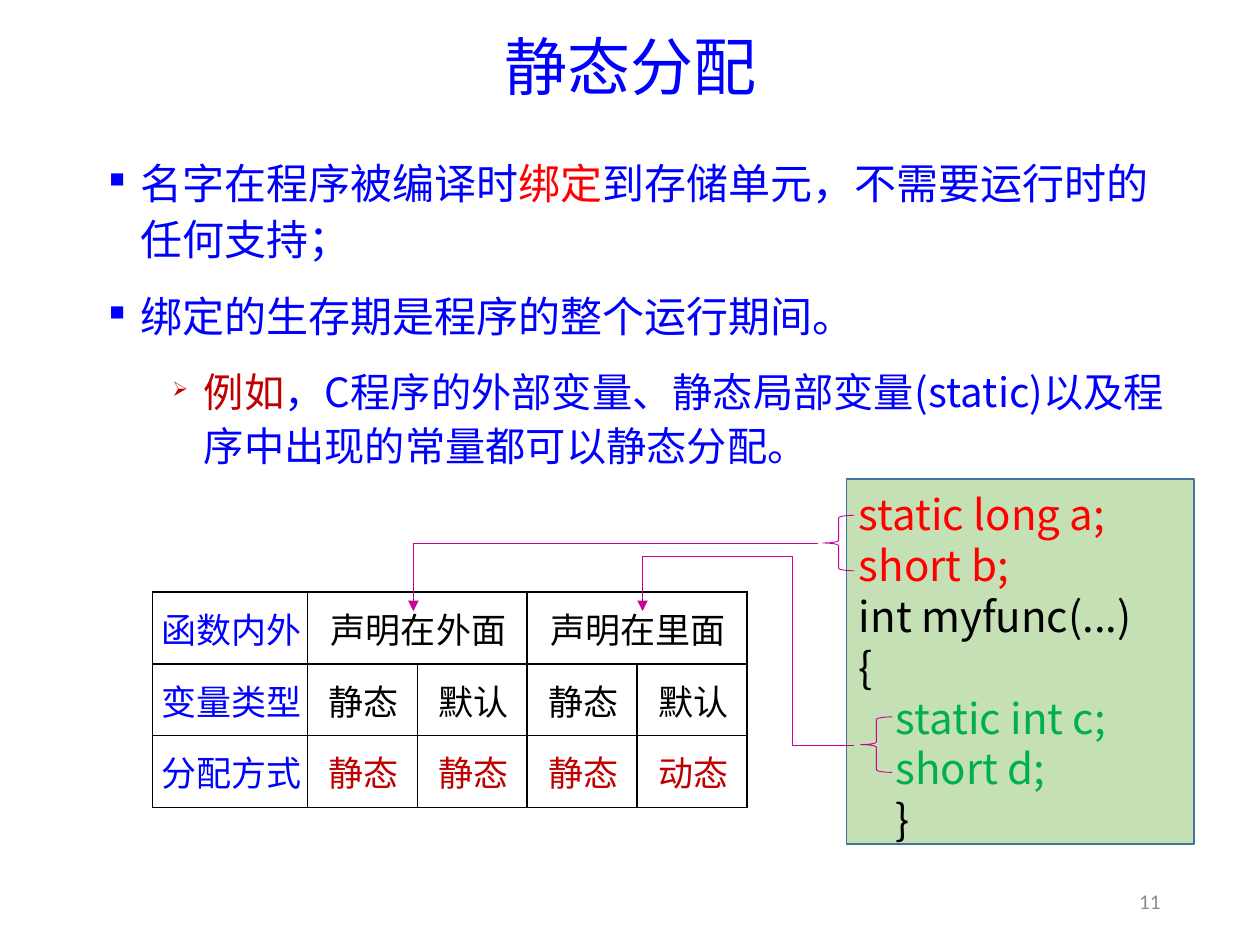
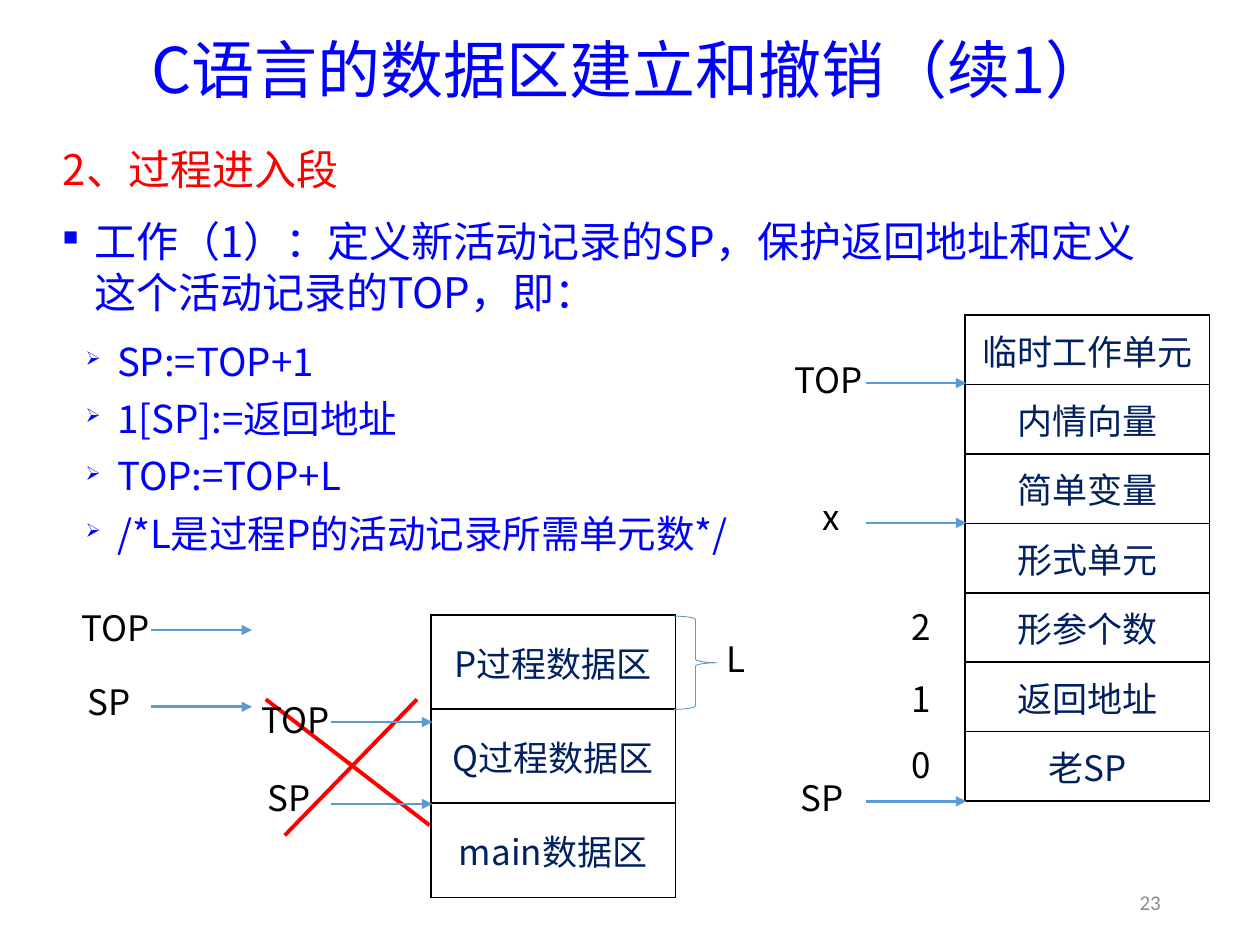
import pptx
import pptx.chart.data
import pptx.dml.color
import pptx.enum.shapes
import pptx.enum.text
import pptx.oxml.ns
import pptx.util
from lxml import etree

Pt = pptx.util.Pt
RGB = pptx.dml.color.RGBColor
ALIGN = pptx.enum.text.PP_ALIGN
MIDDLE = pptx.enum.text.MSO_ANCHOR.MIDDLE
SHAPE = pptx.enum.shapes.MSO_SHAPE
qn = pptx.oxml.ns.qn

BLUE = RGB(0x00, 0x00, 0xFF)
RED = RGB(0xFF, 0x00, 0x00)
DARK_RED = RGB(0xC0, 0x00, 0x00)
GREEN = RGB(0x00, 0xB0, 0x50)
NAVY = RGB(0x00, 0x20, 0x60)
BLACK = RGB(0x00, 0x00, 0x00)
GRAY = RGB(0x8C, 0x8C, 0x8C)
MAGENTA = RGB(0xCC, 0x00, 0x99)
SKY = RGB(0x5B, 0x9B, 0xD5)
CODE_FILL = RGB(0xC5, 0xE0, 0xB4)
CODE_EDGE = RGB(0x43, 0x73, 0x9E)

TITLE_FONT = "Noto Sans CJK JP"
TEXT_FONT = "Noto Sans CJK SC"
NUMBER_FONT = "Calibri"
LINE_HEIGHT = 1.21  # line pitch as a multiple of the text size
HANGING = 18
CELL_INSETS = (7.2, 3.6, 7.2, 3.6)
ARROW_LENGTH = 57.6
LABEL_SIZE = (70, 43)

# Body paragraphs: bullet, left indent, size, space after, runs
STATIC_BODY = [
    ("■", 18, 24, 6, [("名字在程序被编译时", BLUE), ("绑定", RED),
                      ("到存储单元，不需要运行时的任何支持；", BLUE)]),
    ("■", 18, 24, 6, [("绑定的生存期是程序的整个运行期间。", BLUE)]),
    ("➢", 54, 23, 6, [("例如", DARK_RED),
                      ("，C程序的外部变量、静态局部变量(static)以及程序中出现的常量都可以静态分配。", BLUE)]),
]
ENTRY_BODY = [
    (None, 18, 24, 6, [("2、过程进入段", RED)]),
    ("■", 18, 24, 6, [("工作（1）：定义新活动记录的SP，保护返回地址和定义这个活动记录的TOP，即：", BLUE)]),
] + [("➢", 31, 22, 0, [(step, BLUE)]) for step in (
    "SP:=TOP+1", "1[SP]:=返回地址", "TOP:=TOP+L", "/*L是过程P的活动记录所需单元数*/")]

ALLOCATION = [
    ["函数内外", "声明在外面", None, "声明在里面", None],
    ["变量类型", "静态", "默认", "静态", "默认"],
    ["分配方式", "静态", "静态", "静态", "动态"],
]
ALLOCATION_COLORS = [BLACK, BLACK, DARK_RED]

# Code lines: text, indent, colour
CODE = [
    ("static long a;", 0, RED),
    ("short b;", 0, RED),
    ("int myfunc(...)", 0, BLACK),
    ("{", 0, BLACK),
    ("static int c;", 21, GREEN),
    ("short d;", 21, GREEN),
    ("}", 21, BLACK),
]
BRACES = [(470.2, 294.5), (491.8, 409.7)]
ROUTES = [
    [(467.3, 310.3), (236.2, 310.3), (236.2, 349.2)],
    [(488.2, 426.2), (452.9, 426.2), (452.9, 318.2), (367.2, 318.2), (367.2, 349.2)],
]

RECORD = ["临时工作单元", "内情向量", "简单变量", "形式单元", "形参个数", "返回地址", "老SP"]
STACK = ["P过程数据区", "Q过程数据区", "main数据区"]
# Pointers: name, centre of the name, start of the arrow
POINTERS = [
    ("TOP", (65.9, 358.6), (86.4, 360)),
    ("SP", (62.3, 401), (86.4, 403.9)),
    ("TOP", (473.4, 217.1), (494.6, 218.9)),
    ("x", (474.8, 295.2), (494.6, 298.8)),
    ("SP", (469.8, 455.8), (494.6, 457.9)),
    ("TOP", (168.8, 411.1), (189.4, 412.6)),
    ("SP", (165.2, 455.8), (189.4, 459.4)),
]
LABELS = [("0", (526.3, 436.7)), ("1", (526.3, 399.2)), ("2", (526.3, 358.2)),
          ("L", (420.5, 376.2))]
CROSS = [((238.3, 399.6), (162.7, 477.4)), ((245.5, 471.6), (151.9, 399.6))]


def points(values):
    return [Pt(value) for value in values]


def add_run(paragraph, text, size, color, font=TEXT_FONT):
    run = paragraph.add_run()
    run.text = text
    run.font.size = Pt(size)
    run.font.color.rgb = color
    run.font.name = font
    east_asian = etree.SubElement(run.font._element, qn("a:ea"))
    east_asian.set("typeface", font)


def indent(paragraph, left, first=0, bullet=None):
    properties = paragraph._p.get_or_add_pPr()
    properties.set("marL", str(Pt(left)))
    properties.set("indent", str(Pt(first)))
    if bullet:
        etree.SubElement(properties, qn("a:buSzPct")).set("val", "50000")
        etree.SubElement(properties, qn("a:buChar")).set("char", bullet)


def add_text(slide, box, text, size, color, font=TEXT_FONT, align=ALIGN.CENTER):
    """Add one line of text, centred vertically in its box."""
    frame = slide.shapes.add_textbox(*points(box)).text_frame
    frame.word_wrap = True
    frame.vertical_anchor = MIDDLE
    paragraph = frame.paragraphs[0]
    paragraph.alignment = align
    add_run(paragraph, text, size, color, font)
    return paragraph


def add_label(slide, text, center):
    width, height = LABEL_SIZE
    box = (center[0] - width / 2, center[1] - height / 2, width, height)
    add_text(slide, box, text, 20, BLACK)


def new_slide(deck, title, title_box, number, number_box):
    slide = deck.slides.add_slide(deck.slide_layouts[6])
    heading = add_text(slide, title_box, title, 36, BLUE, TITLE_FONT)
    heading.line_spacing = 0.9
    add_text(slide, number_box, number, 12, GRAY, NUMBER_FONT, ALIGN.RIGHT)
    return slide


def next_paragraph(frame, index):
    return frame.add_paragraph() if index else frame.paragraphs[0]


def add_body(slide, box, content, leading):
    frame = slide.shapes.add_textbox(*points(box)).text_frame
    frame.word_wrap = True
    frame.margin_top = Pt(5.6)
    for index, (bullet, left, size, after, runs) in enumerate(content):
        paragraph = next_paragraph(frame, index)
        indent(paragraph, left, -HANGING, bullet)
        paragraph.line_spacing = Pt(size * LINE_HEIGHT * leading)
        paragraph.space_before = Pt(6 if index else 0)
        paragraph.space_after = Pt(after)
        for text, color in runs:
            add_run(paragraph, text, size, color)


def style_line(shape, color, width, arrow=False):
    shape.line.color.rgb = color
    shape.line.width = Pt(width)
    if arrow:
        line = shape.line._get_or_add_ln()
        etree.SubElement(line, qn("a:tailEnd")).set("type", "triangle")


def add_line(slide, start, end, color, width, arrow=False):
    line = slide.shapes.add_connector(
        pptx.enum.shapes.MSO_CONNECTOR.STRAIGHT, *points(start + end))
    style_line(line, color, width, arrow)
    etree.SubElement(line._element.spPr, qn("a:effectLst"))


def add_brace(slide, kind, box, color):
    brace = slide.shapes.add_shape(kind, *points(box))
    brace.shadow.inherit = False
    brace.fill.background()
    style_line(brace, color, 0.5)


def add_route(slide, corners):
    builder = slide.shapes.build_freeform(*points(corners[0]))
    builder.add_line_segments([points(corner) for corner in corners[1:]], close=False)
    route = builder.convert_to_shape()
    route.shadow.inherit = False
    route.fill.background()
    style_line(route, MAGENTA, 0.5, arrow=True)


def border(cell):
    properties = cell._tc.get_or_add_tcPr()
    for position, side in enumerate(("lnL", "lnR", "lnT", "lnB")):
        line = etree.Element(qn("a:" + side), w=str(Pt(1)))
        fill = etree.SubElement(line, qn("a:solidFill"))
        etree.SubElement(fill, qn("a:srgbClr")).set("val", str(BLACK))
        properties.insert(position, line)


def add_grid(slide, left, top, widths, row_height, rows, color_at, insets=CELL_INSETS):
    """Add a bordered table; a None cell is merged into the one on its left."""
    table = slide.shapes.add_table(
        len(rows), len(widths),
        *points((left, top, sum(widths), row_height * len(rows)))).table
    table.first_row = table.horz_banding = False
    for column, width in zip(table.columns, widths):
        column.width = Pt(width)
    for r, texts in enumerate(rows):
        table.rows[r].height = Pt(row_height)
        for c, text in enumerate(texts):
            cell = table.cell(r, c)
            cell.fill.background()
            border(cell)
            if text is None:
                table.cell(r, c - 1).merge(cell)
                continue
            cell.vertical_anchor = MIDDLE
            (cell.margin_left, cell.margin_top,
             cell.margin_right, cell.margin_bottom) = points(insets)
            paragraph = cell.text_frame.paragraphs[0]
            paragraph.alignment = ALIGN.CENTER
            add_run(paragraph, text, 20, color_at(r, c))


def add_code(slide, box):
    panel = slide.shapes.add_shape(SHAPE.RECTANGLE, *points(box))
    panel.shadow.inherit = False
    panel.fill.solid()
    panel.fill.fore_color.rgb = CODE_FILL
    style_line(panel, CODE_EDGE, 1)
    frame = panel.text_frame
    frame.word_wrap = True
    frame.vertical_anchor = pptx.enum.text.MSO_ANCHOR.TOP
    frame.margin_top = Pt(5.6)
    for index, (text, left, color) in enumerate(CODE):
        paragraph = next_paragraph(frame, index)
        indent(paragraph, left)
        paragraph.alignment = ALIGN.LEFT
        paragraph.line_spacing = Pt(24 * LINE_HEIGHT)
        add_run(paragraph, text, 24, color)


def static_allocation(deck):
    slide = new_slide(deck, "静态分配", (49.7, 13.7, 620.6, 52.6),
                      "11", (622, 500.4, 48.2, 28.8))
    add_body(slide, (55.4, 81.4, 620, 190.8), STATIC_BODY, 1.1)
    add_grid(slide, 87.1, 338.4, [88.6] + [62.8] * 4, 41, ALLOCATION,
             lambda r, c: ALLOCATION_COLORS[r] if c else BLUE, (1.4, 0, 0, 0))
    add_code(slide, (483.8, 273.6, 198.7, 208.8))
    for (left, top), route in zip(BRACES, ROUTES):
        add_brace(slide, SHAPE.LEFT_BRACE, (left, top, 18, 31.7), MAGENTA)
        add_route(slide, route)


def procedure_entry(deck):
    slide = new_slide(deck, "C语言的数据区建立和撤销（续1）", (49.7, 11.5, 620.6, 60.5),
                      "23", (614.2, 501.8, 56.2, 27.4))
    add_body(slide, (28.8, 76.3, 641.5, 250.6), ENTRY_BODY, 1)
    for left, top, row_height, names in ((551.5, 180, 39.7, RECORD),
                                         (246.2, 351.4, 53.8, STACK)):
        add_grid(slide, left, top, [139.7], row_height,
                 [[name] for name in names], lambda r, c: NAVY)
    for start, end in CROSS:
        add_line(slide, start, end, RED, 2.25)
    for name, center, start in POINTERS:
        add_label(slide, name, center)
        add_line(slide, start, (start[0] + ARROW_LENGTH, start[1]), SKY, 1.5, arrow=True)
    for text, center in LABELS:
        add_label(slide, text, center)
    add_brace(slide, SHAPE.RIGHT_BRACE, (385.2, 352.1, 24.5, 53.3), SKY)


def main():
    deck = pptx.Presentation()
    deck.slide_width, deck.slide_height = Pt(720), Pt(540)
    static_allocation(deck)
    procedure_entry(deck)
    deck.save("out.pptx")


if __name__ == "__main__":
    main()
